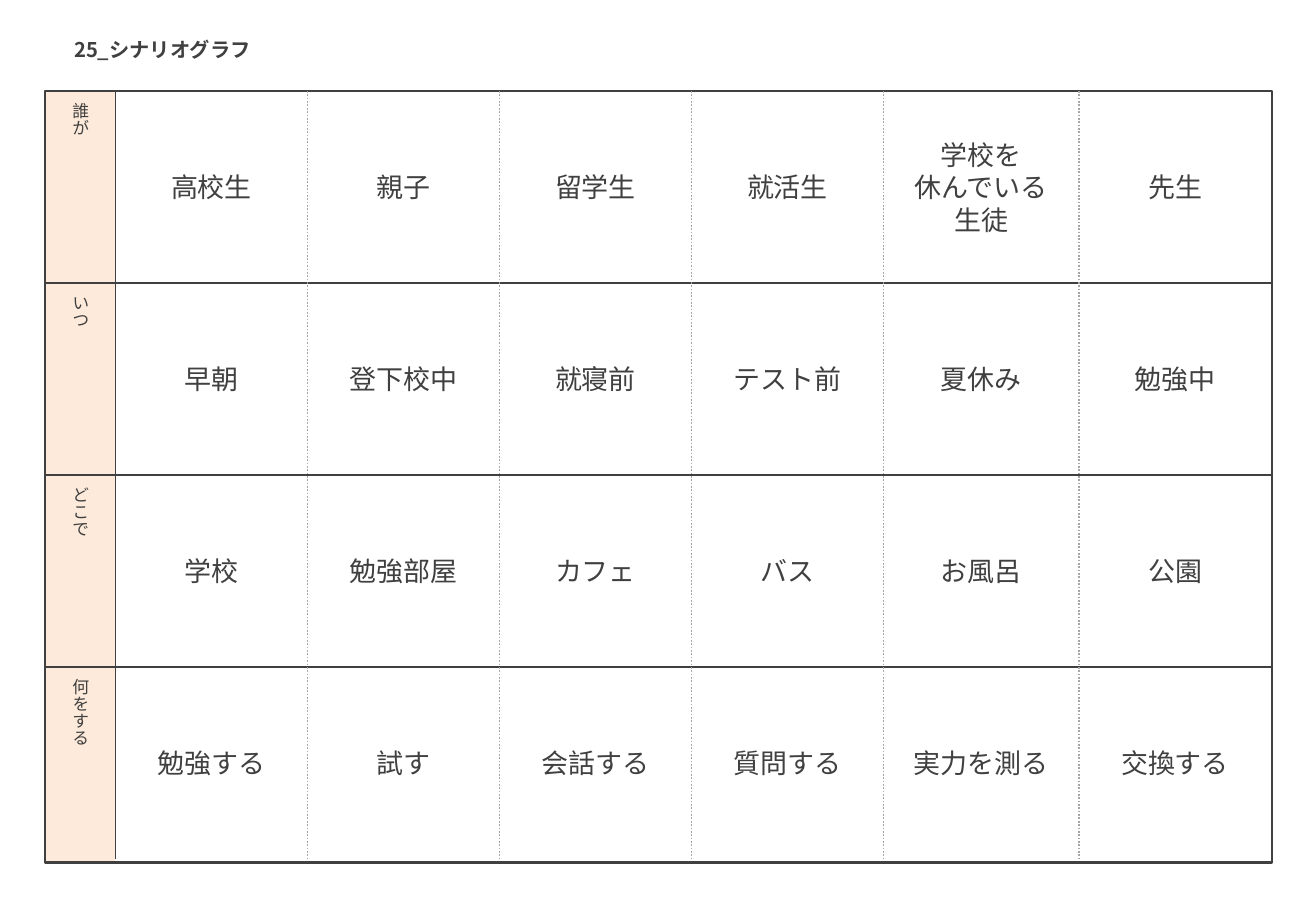
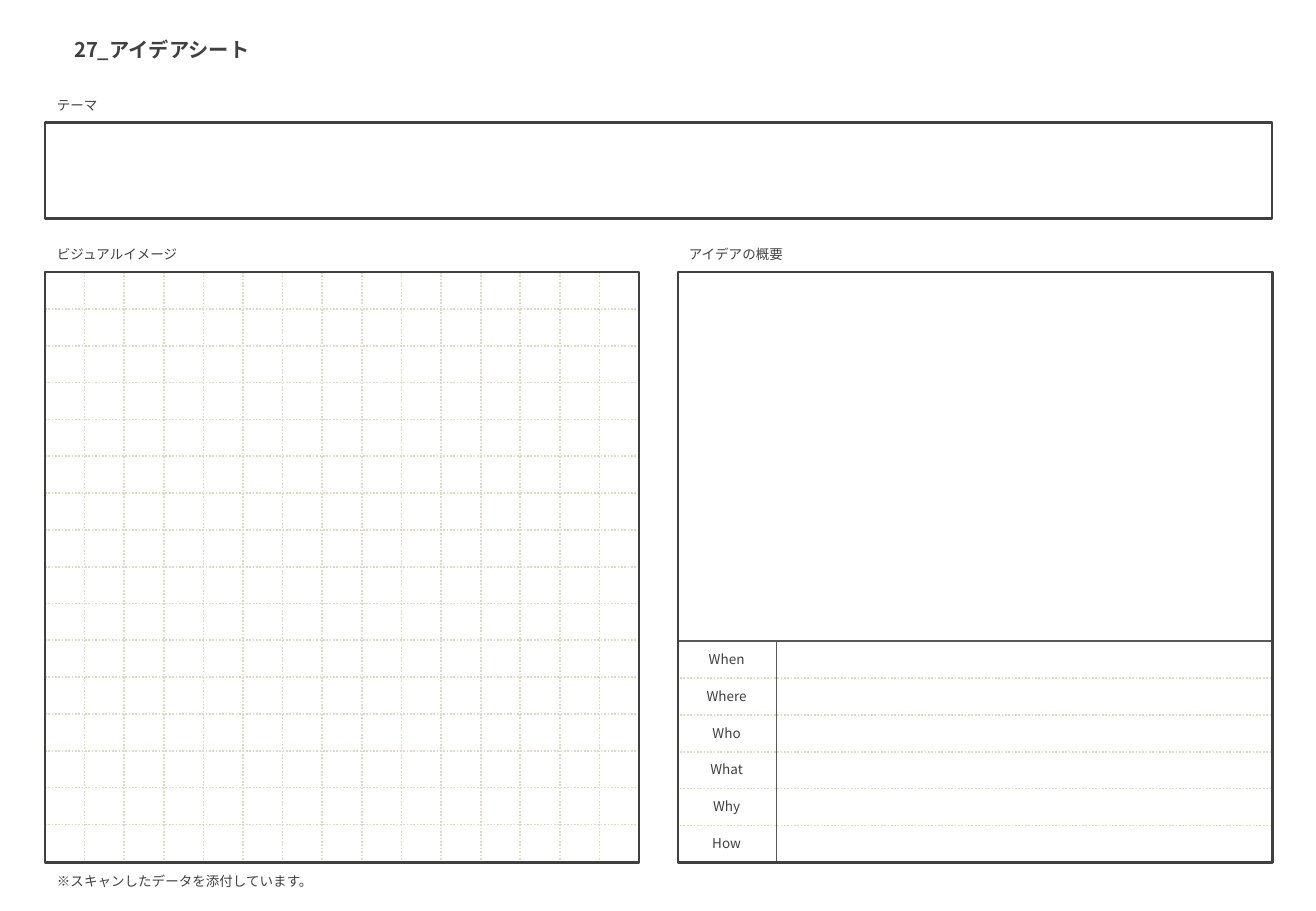
"""Build the scenario graph and idea sheet worksheets."""
import pptx
import pptx.util
import pptx.dml.color
import pptx.enum.dml
import pptx.enum.shapes
import pptx.enum.text
import pptx.oxml.ns
import lxml.etree

Inches = pptx.util.Inches
Pt = pptx.util.Pt
RGBColor = pptx.dml.color.RGBColor
Align = pptx.enum.text.PP_ALIGN
Anchor = pptx.enum.text.MSO_ANCHOR

SCENARIO_TITLE = "25_シナリオグラフ"
SCENARIO = {
    "誰が": ["高校生", "親子", "留学生", "就活生", "学校を\n休んでいる\n生徒", "先生"],
    "いつ": ["早朝", "登下校中", "就寝前", "テスト前", "夏休み", "勉強中"],
    "どこで": ["学校", "勉強部屋", "カフェ", "バス", "お風呂", "公園"],
    "何をする": ["勉強する", "試す", "会話する", "質問する", "実力を測る", "交換する"],
}
IDEA_TITLE = "27_アイデアシート"
IDEA_LABELS = [
    ("テーマ", 0.37, 0.75, 0.54),
    ("ビジュアルイメージ", 0.37, 1.98, 1.21),
    ("アイデアの概要", 5.57, 1.98, 0.99),
]
IDEA_NOTE = "※スキャンしたデータを添付しています。"
QUESTIONS = ["When", "Where", "Who", "What", "Why", "How"]

FONT = "Noto Sans CJK JP"
INK = RGBColor(0x40, 0x40, 0x40)
RULE = RGBColor(0x59, 0x59, 0x59)
COLUMN_DOTS = RGBColor(0xA6, 0xA6, 0xA6)
GRID_DOTS = RGBColor(0xDD, 0xD9, 0xC3)
LABEL_BAND = RGBColor(0xFD, 0xEA, 0xDA)

LEFT, RIGHT, BOTTOM = 0.37, 10.46, 7.1
FRAME_WIDTH = 10.1
TABLE_TOP, CELL = 0.75, 1.58
COLUMN_EDGES = [0.95, 2.53, 4.11, 5.69, 7.27, 8.88, RIGHT]
PANEL_TOP, PANEL_WIDTH, PANEL_HEIGHT = 2.24, 4.89, 4.86
OVERVIEW_LEFT = 5.57
GRID_COLUMNS, GRID_ROWS, GRID_HEIGHT = 15, 16, 4.85
QUESTION_TOP, QUESTION_WIDTH = 5.28, 0.82


def write(shape, text, size, align=Align.LEFT, anchor=Anchor.TOP, wrap=False, bold=False):
    """Fill a shape with text, one paragraph per line."""
    frame = shape.text_frame
    frame.word_wrap = wrap
    frame.auto_size = pptx.enum.text.MSO_AUTO_SIZE.SHAPE_TO_FIT_TEXT
    frame.vertical_anchor = anchor
    for index, line in enumerate(text.split("\n")):
        paragraph = frame.add_paragraph() if index else frame.paragraphs[0]
        paragraph.alignment = align
        run = paragraph.add_run()
        run.text = line
        run.font.size = Pt(size)
        run.font.bold = bold
        run.font.color.rgb = INK
        run.font.name = FONT
        east_asian = lxml.etree.SubElement(run.font._element, pptx.oxml.ns.qn("a:ea"))
        east_asian.set("typeface", FONT)


def add_text(slide, text, left, top, width, height, size, **options):
    """Add a text box and return it."""
    box = slide.shapes.add_textbox(Inches(left), Inches(top), Inches(width), Inches(height))
    write(box, text, size, **options)
    return box


def add_line(slide, start, end, color, dotted=False):
    """Add a one-point line between two positions."""
    line = slide.shapes.add_connector(
        pptx.enum.shapes.MSO_CONNECTOR.STRAIGHT, *map(Inches, start + end))
    line.line.color.rgb = color
    line.line.width = Pt(1)
    if dotted:
        line.line.dash_style = pptx.enum.dml.MSO_LINE.ROUND_DOT
    lxml.etree.SubElement(line._element.spPr, pptx.oxml.ns.qn("a:effectLst"))
    return line


def add_frame(slide, left, top, width, height):
    """Add an unfilled outline with square corners."""
    frame = slide.shapes.add_shape(
        pptx.enum.shapes.MSO_SHAPE.ROUNDED_RECTANGLE,
        Inches(left), Inches(top), Inches(width), Inches(height))
    frame.adjustments[0] = 0
    frame.shadow.inherit = False
    frame.fill.background()
    frame.line.color.rgb = INK
    frame.line.width = Pt(1.5)
    return frame


def add_slide(presentation, title):
    """Add a title-only slide with the shared title style."""
    slide = presentation.slides.add_slide(presentation.slide_layouts[5])
    shape = slide.shapes.title
    shape.left, shape.top, shape.width, shape.height = map(Inches, (0.51, 0.26, 1.72, 0.3))
    write(shape, title, 12, bold=True)
    return slide


def build_scenario(presentation):
    """Build the scenario graph."""
    slide = add_slide(presentation, SCENARIO_TITLE)
    band = slide.shapes.add_shape(
        pptx.enum.shapes.MSO_SHAPE.RECTANGLE, Inches(LEFT), Inches(TABLE_TOP),
        Inches(COLUMN_EDGES[0] - LEFT), Inches(BOTTOM - TABLE_TOP))
    band.shadow.inherit = False
    band.fill.solid()
    band.fill.fore_color.rgb = LABEL_BAND
    band.line.fill.background()

    for row, (label, cells) in enumerate(SCENARIO.items()):
        top = TABLE_TOP + row * CELL
        if row:
            add_line(slide, (LEFT, top), (RIGHT, top), INK)
        box = add_text(slide, label, 0.47, top, 0.38, CELL, 10,
                       align=Align.CENTER, anchor=Anchor.MIDDLE, wrap=True)
        box.text_frame._txBody.bodyPr.set("vert", "eaVert")
        for text, left, right in zip(cells, COLUMN_EDGES, COLUMN_EDGES[1:]):
            lines = text.split("\n")
            width = 0.2 + 0.225 * max(map(len, lines))
            height = 0.1 + 0.27 * len(lines)
            add_text(slide, text, (left + right - width) / 2, top + (CELL - height) / 2,
                     width, height, 16, align=Align.CENTER, anchor=Anchor.MIDDLE)

    add_frame(slide, LEFT, TABLE_TOP, FRAME_WIDTH, BOTTOM - TABLE_TOP)
    for index, edge in enumerate(COLUMN_EDGES[:-1]):
        add_line(slide, (edge, TABLE_TOP), (edge, 7.07),
                 COLUMN_DOTS if index else INK, dotted=index > 0)


def build_idea_sheet(presentation):
    """Build the idea sheet."""
    slide = add_slide(presentation, IDEA_TITLE)
    add_frame(slide, LEFT, 1.01, FRAME_WIDTH, 0.79)
    for text, left, top, width in IDEA_LABELS:
        add_text(slide, text, left, top, width, 0.24, 8)

    pitch = GRID_HEIGHT / GRID_ROWS
    for row, question in enumerate(QUESTIONS):
        top = QUESTION_TOP + row * pitch
        add_line(slide, (OVERVIEW_LEFT, top), (RIGHT, top),
                 GRID_DOTS if row else RULE, dotted=row > 0)
        add_text(slide, question, OVERVIEW_LEFT, top + 0.03, QUESTION_WIDTH, 0.24, 8,
                 align=Align.CENTER, wrap=True)
    divider = OVERVIEW_LEFT + QUESTION_WIDTH
    add_line(slide, (divider, QUESTION_TOP), (divider, BOTTOM), RULE)

    grid_rows = []
    for row in range(1, GRID_ROWS):
        y = PANEL_TOP + row * pitch
        grid_rows.append(add_line(
            slide, (LEFT, y), (LEFT + PANEL_WIDTH, y), GRID_DOTS, dotted=True))
    for column in range(1, GRID_COLUMNS):
        x = LEFT + column * PANEL_WIDTH / GRID_COLUMNS
        add_line(slide, (x, PANEL_TOP), (x, PANEL_TOP + GRID_HEIGHT), GRID_DOTS, dotted=True)

    visual = add_frame(slide, LEFT, PANEL_TOP, PANEL_WIDTH, PANEL_HEIGHT)
    middle_row = grid_rows[len(grid_rows) // 2]
    middle_row.begin_connect(visual, 1)
    middle_row.end_connect(visual, 3)
    add_frame(slide, 5.58, PANEL_TOP, PANEL_WIDTH, PANEL_HEIGHT)
    add_text(slide, IDEA_NOTE, LEFT, 7.14, 5.68, 0.24, 8, wrap=True)


def main():
    """Create and save the presentation."""
    presentation = pptx.Presentation()
    presentation.slide_width = Inches(10.83)
    presentation.slide_height = Inches(7.5)
    build_scenario(presentation)
    build_idea_sheet(presentation)
    presentation.save("out.pptx")


if __name__ == "__main__":
    main()
